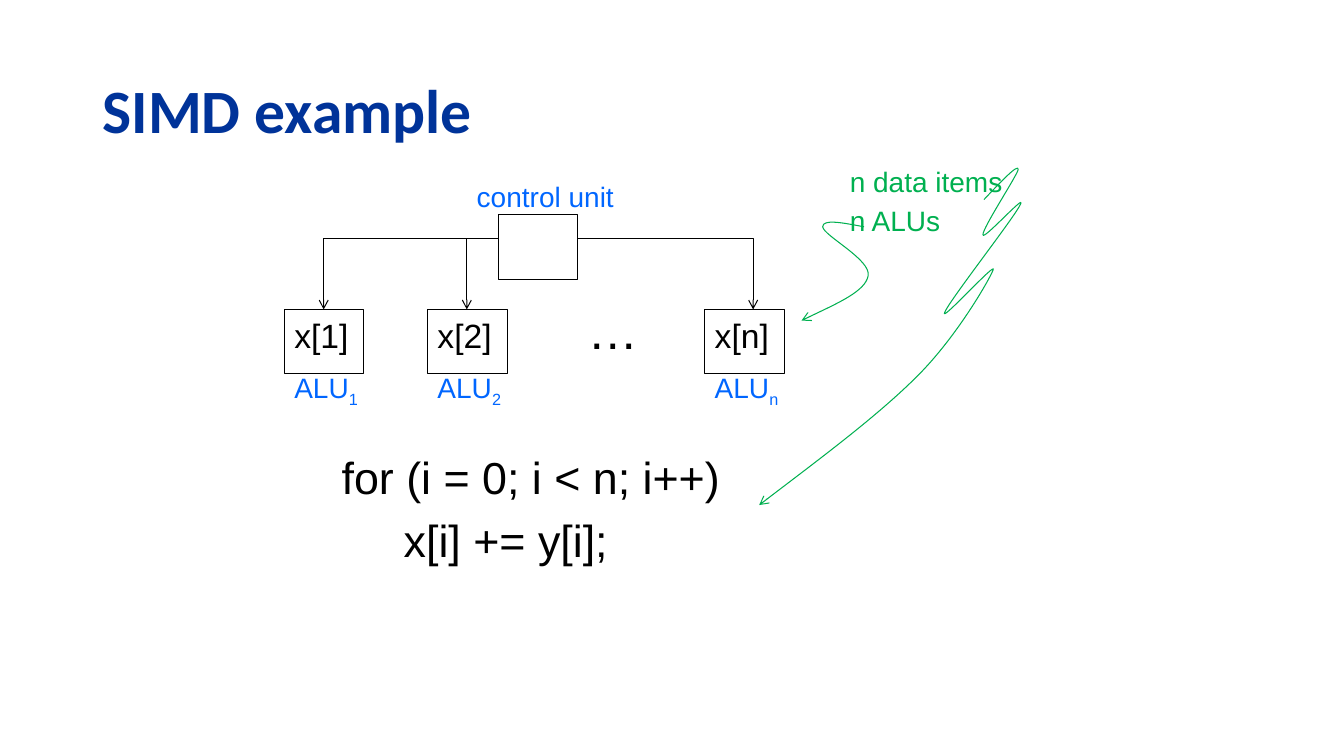
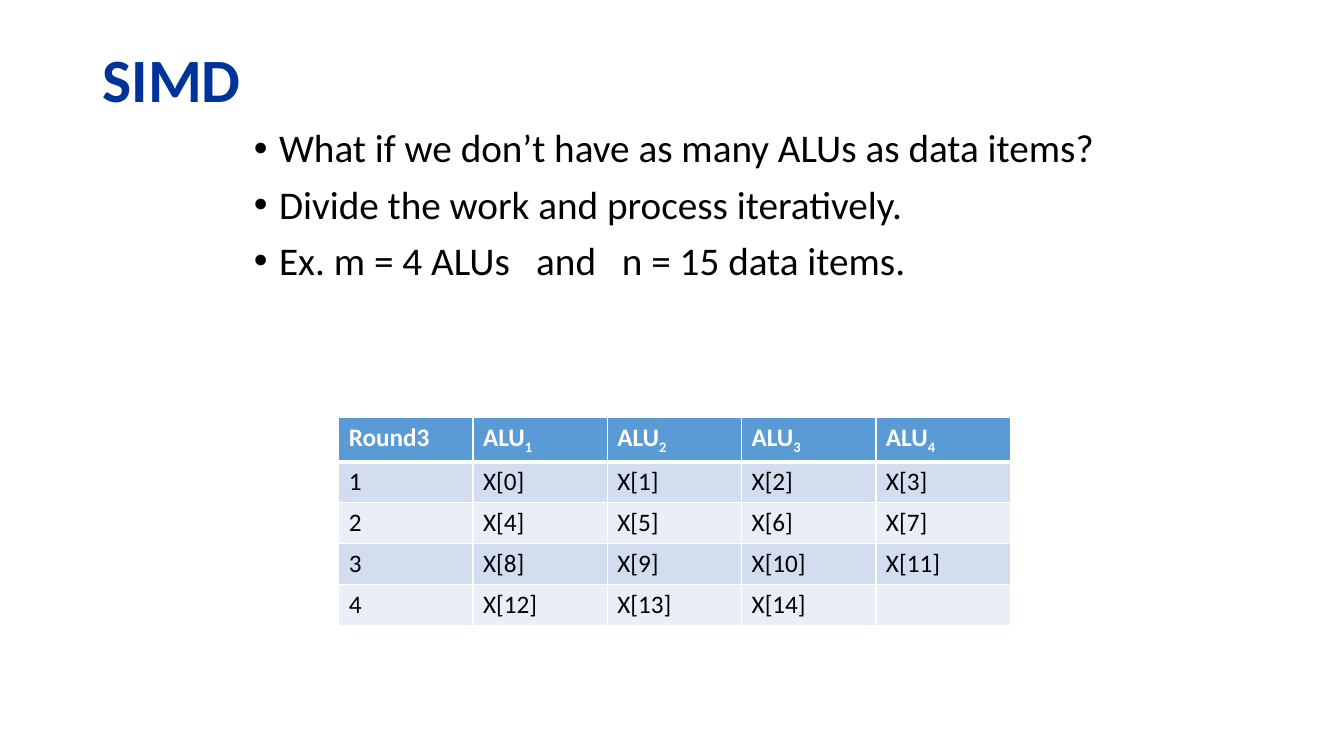
from dataclasses import dataclass
from typing import Iterable, NamedTuple

from lxml.etree import SubElement
from pptx import Presentation
from pptx.dml.color import RGBColor
from pptx.enum.shapes import MSO_CONNECTOR, MSO_SHAPE
from pptx.enum.text import MSO_ANCHOR, MSO_AUTO_SIZE
from pptx.oxml.ns import qn
from pptx.util import Inches, Pt

# Shared style
NAVY = RGBColor(0x00, 0x33, 0x99)
BLUE = RGBColor(0x00, 0x66, 0xFF)
GREEN = RGBColor(0x00, 0xB0, 0x50)
BLACK = RGBColor(0x00, 0x00, 0x00)
WHITE = RGBColor(0xFF, 0xFF, 0xFF)
HEADER_BLUE = RGBColor(0x5B, 0x9B, 0xD5)
BAND_DARK = RGBColor(0xD2, 0xDE, 0xEF)
BAND_LIGHT = RGBColor(0xEA, 0xEF, 0xF7)
DIAGRAM_FONT = "Arial"
BODY_FONT = "Calibri"
THIN = 0.75

# Diagram measures, in inches
UNIT_WIDTH, UNIT_HEIGHT = 0.79, 0.64
CONTROL_LEFT, CONTROL_TOP = 4.94, 2.13
ALU_TOP, ALU_LABEL_TOP = 3.07, 3.63
BUS_Y = 2.37

Point = tuple[float, float]


class Box(NamedTuple):
    left: float
    top: float
    width: float
    height: float

    def lengths(self) -> list[int]:
        return [Inches(value) for value in self]


class Style(NamedTuple):
    size: float
    color: RGBColor
    font: str = DIAGRAM_FONT
    bold: bool = False


class Span(NamedTuple):
    text: str
    subscript: bool = False


@dataclass
class Alu:
    left: float
    index: str
    bus_start: float
    bus_end: float


@dataclass
class Curve:
    start: Point
    segments: list[tuple[Point, Point, Point]]


TITLE = Style(44, NAVY, BODY_FONT, True)
BULLET = Style(28, BLACK, BODY_FONT)
TABLE_HEAD = Style(18, WHITE, BODY_FONT, True)
TABLE_BODY = Style(18, BLACK, BODY_FONT)
UNIT_LABEL = Style(20, BLUE)
NOTE = Style(20, GREEN)
DATA = Style(24, BLACK)
CODE = Style(32, BLACK)
ELLIPSIS = Style(36, BLACK)

ALUS = [
    Alu(2.82, "1", CONTROL_LEFT, 3.21),
    Alu(4.24, "2", 4.63, 4.63),
    Alu(6.99, "n", CONTROL_LEFT + UNIT_WIDTH, 7.47),
]

ALUS_CURVE = Curve((8.57, 2.25), [
    ((8.36, 2.21), (8.16, 2.17), (8.16, 2.25)),
    ((8.17, 2.34), (8.65, 2.58), (8.61, 2.74)),
    ((8.58, 2.89), (8.26, 3.03), (7.95, 3.18)),
])
ITEMS_CURVE = Curve((9.76, 1.98), [
    ((9.93, 1.8), (10.1, 1.62), (10.1, 1.68)),
    ((10.09, 1.74), (9.74, 2.27), (9.75, 2.33)),
    ((9.75, 2.39), (10.19, 1.9), (10.12, 2.03)),
    ((10.06, 2.16), (9.41, 2.99), (9.37, 3.1)),
    ((9.32, 3.21), (9.9, 2.57), (9.85, 2.68)),
    ((9.81, 2.78), (9.49, 3.34), (9.1, 3.73)),
    ((8.71, 4.12), (8.12, 4.56), (7.53, 5.01)),
])

BULLETS = [
    "What if we don’t have as many ALUs as data items?",
    "Divide the work and process iteratively.",
    "Ex. m = 4 ALUs\tand\tn = 15 data items.",
]
BULLET_TABS = [2.8, 3.65]
ALU_COUNT, ITEM_COUNT, ROUND_COUNT = 4, 15, 4


# Text
def add_spans(paragraph, spans: Iterable[Span], style: Style) -> None:
    for span in spans:
        run = paragraph.add_run()
        run.text = span.text
        run.font.size = Pt(style.size)
        run.font.name = style.font
        run.font.bold = style.bold
        run.font.color.rgb = style.color
        if span.subscript:
            run._r.get_or_add_rPr().set("baseline", "-25000")


def alu_name(index: str) -> list[Span]:
    return [Span("ALU"), Span(index, True)]


def add_label(slide, box: Box, style: Style, *lines: list[Span]) -> None:
    frame = slide.shapes.add_textbox(*box.lengths()).text_frame
    frame.word_wrap = False
    frame.auto_size = MSO_AUTO_SIZE.SHAPE_TO_FIT_TEXT
    for number, spans in enumerate(lines):
        paragraph = frame.add_paragraph() if number else frame.paragraphs[0]
        if number:
            paragraph.space_before = Pt(style.size * 0.2)
        add_spans(paragraph, spans, style)


def add_title(slide, text: str, height: float) -> None:
    frame = slide.shapes.add_textbox(*Box(0.92, 0.4, 11.5, height).lengths()).text_frame
    frame.word_wrap = True
    frame.vertical_anchor = MSO_ANCHOR.MIDDLE
    frame.paragraphs[0].line_spacing = 0.9
    add_spans(frame.paragraphs[0], [Span(text)], TITLE)


def add_bullets(slide, box: Box, lines: list[str]) -> None:
    frame = slide.shapes.add_textbox(*box.lengths()).text_frame
    frame.word_wrap = True
    for number, line in enumerate(lines):
        paragraph = frame.add_paragraph() if number else frame.paragraphs[0]
        properties = paragraph._p.get_or_add_pPr()
        properties.set("marL", str(Inches(0.25)))
        properties.set("indent", str(Inches(-0.25)))
        SubElement(properties, qn("a:buFont"), typeface="Arial")
        SubElement(properties, qn("a:buChar"), char="•")
        if "\t" in line:
            tabs = SubElement(properties, qn("a:tabLst"))
            for position in BULLET_TABS:
                SubElement(tabs, qn("a:tab"), pos=str(Inches(position)), algn="l")
        paragraph.line_spacing = 0.9
        if number:
            paragraph.space_before = Pt(10)
        add_spans(paragraph, [Span(line)], BULLET)


# Boxes, arrows and curves
def add_unit(slide, left: float, top: float) -> None:
    box = Box(left, top, UNIT_WIDTH, UNIT_HEIGHT)
    unit = slide.shapes.add_shape(MSO_SHAPE.RECTANGLE, *box.lengths())
    unit.shadow.inherit = False
    unit.fill.background()
    unit.line.color.rgb = BLACK
    unit.line.width = Pt(THIN)


def style_arrow(arrow, color: RGBColor) -> None:
    arrow.line.color.rgb = color
    arrow.line.width = Pt(THIN)
    outline = arrow.element.spPr.find(qn("a:ln"))
    SubElement(outline, qn("a:tailEnd"), type="arrow")


def add_bus_arrow(slide, start_x: float, end_x: float) -> None:
    straight = start_x == end_x
    kind = MSO_CONNECTOR.STRAIGHT if straight else MSO_CONNECTOR.ELBOW
    arrow = slide.shapes.add_connector(
        kind, Inches(start_x), Inches(BUS_Y), Inches(end_x), Inches(ALU_TOP))
    style_arrow(arrow, BLACK)
    properties = arrow.element.spPr
    SubElement(properties, qn("a:effectLst"))
    if not straight:
        # One bend: across from the control unit, then down; half turn plus flips
        properties.find(qn("a:prstGeom")).set("prst", "bentConnector2")
        frame = properties.find(qn("a:xfrm"))
        frame.set("rot", "10800000")
        frame.set("flipH", "1" if end_x > start_x else "0")
        frame.set("flipV", "1")


def add_curve(slide, curve: Curve) -> None:
    x, y = curve.start
    builder = slide.shapes.build_freeform(Inches(x), Inches(y))
    builder.add_line_segments(
        [(Inches(px), Inches(py)) for segment in curve.segments for px, py in segment],
        close=False)
    arrow = builder.convert_to_shape()
    # Each three straight steps become one Bézier segment
    steps = list(arrow.element.spPr.iter(qn("a:lnTo")))
    outline = steps[0].getparent()
    for first in range(0, len(steps), 3):
        bend = SubElement(outline, qn("a:cubicBezTo"))
        for step in steps[first:first + 3]:
            bend.append(step[0])
            outline.remove(step)
    arrow.shadow.inherit = False
    arrow.fill.background()
    style_arrow(arrow, GREEN)


# Table
def style_cell(cell, row: int) -> None:
    properties = cell._tc.get_or_add_tcPr()
    widths = {"lnL": 1, "lnR": 1, "lnT": 3 if row == 1 else 1, "lnB": 3 if row == 0 else 1}
    for side, width in widths.items():
        border = SubElement(properties, qn(f"a:{side}"), w=str(Pt(width)))
        fill = SubElement(border, qn("a:solidFill"))
        SubElement(fill, qn("a:srgbClr"), val=str(WHITE))
    cell.fill.solid()
    band = BAND_DARK if row % 2 else BAND_LIGHT
    cell.fill.fore_color.rgb = band if row else HEADER_BLUE


def round_rows() -> list[list[list[Span]]]:
    rows = [[[Span("Round3")]] + [alu_name(str(n + 1)) for n in range(ALU_COUNT)]]
    for number in range(ROUND_COUNT):
        first = number * ALU_COUNT
        items = [[Span(f"X[{item}]")] if item < ITEM_COUNT else []
                 for item in range(first, first + ALU_COUNT)]
        rows.append([[Span(str(number + 1))]] + items)
    return rows


def add_round_table(slide, box: Box) -> None:
    rows = round_rows()
    table = slide.shapes.add_table(len(rows), len(rows[0]), *box.lengths()).table
    table.first_row = table.horz_banding = False
    for r, row in enumerate(rows):
        for c, spans in enumerate(row):
            cell = table.cell(r, c)
            style_cell(cell, r)
            add_spans(cell.text_frame.paragraphs[0], spans, TABLE_BODY if r else TABLE_HEAD)


# Slides
def build_example(slide) -> None:
    add_title(slide, "SIMD example", 1.45)
    add_unit(slide, CONTROL_LEFT, CONTROL_TOP)
    add_label(slide, Box(4.63, 1.73, 1.57, 0.44), UNIT_LABEL, [Span("control unit")])
    for alu in ALUS:
        add_unit(slide, alu.left, ALU_TOP)
        add_label(slide, Box(alu.left, ALU_LABEL_TOP, 0.85, 0.44), UNIT_LABEL,
                  alu_name(alu.index))
        add_bus_arrow(slide, alu.bus_start, alu.bus_end)
        add_label(slide, Box(alu.left, ALU_TOP, 0.78, 0.51), DATA, [Span(f"x[{alu.index}]")])
    add_label(slide, Box(5.73, 2.92, 0.71, 0.71), ELLIPSIS, [Span("…")])
    add_label(slide, Box(3.29, 4.41, 4.2, 1.28), CODE,
              [Span("for (i = 0; i < n; i++)")], [Span("     x[i] += y[i];")])
    add_label(slide, Box(8.33, 1.58, 1.73, 0.84), NOTE,
              [Span("n data items")], [Span("n ALUs")])
    for curve in (ALUS_CURVE, ITEMS_CURVE):
        add_curve(slide, curve)


def build_rounds(slide) -> None:
    add_title(slide, "SIMD", 0.83)
    add_bullets(slide, Box(2.42, 1.23, 9.05, 2.83), BULLETS)
    add_round_table(slide, Box(3.36, 4.14, 6.66, 2.03))


def main() -> None:
    deck = Presentation()
    deck.slide_width, deck.slide_height = Inches(13.33), Inches(7.5)
    blank = deck.slide_layouts[6]
    for build in (build_example, build_rounds):
        build(deck.slides.add_slide(blank))
    deck.save("out.pptx")


if __name__ == "__main__":
    main()
